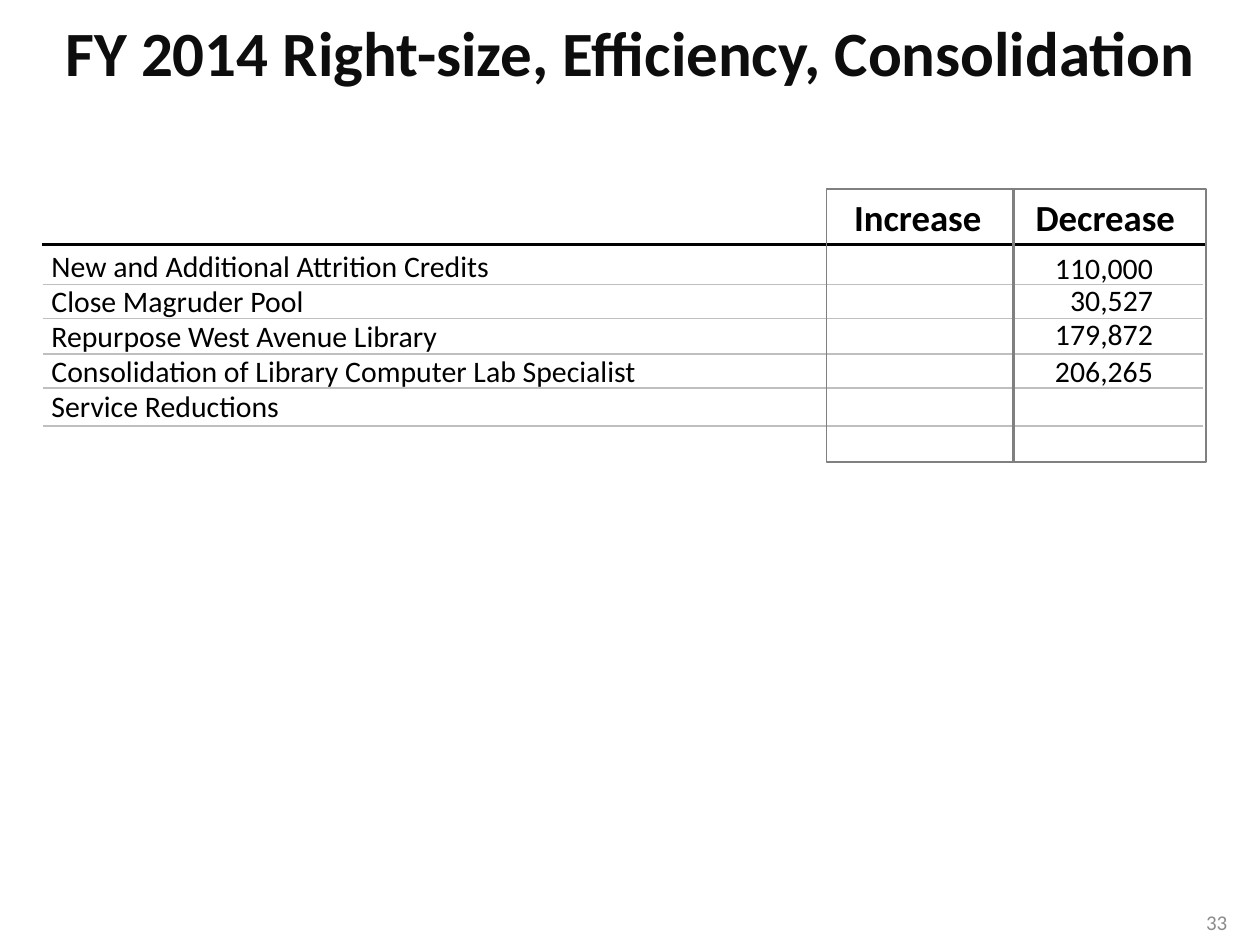
from dataclasses import dataclass

from lxml import etree
from pptx import Presentation
from pptx.dml.color import RGBColor
from pptx.enum.shapes import MSO_CONNECTOR, MSO_SHAPE
from pptx.enum.text import MSO_ANCHOR, PP_ALIGN
from pptx.oxml.ns import qn
from pptx.slide import Slide
from pptx.util import Inches, Pt

LEFT, RIGHT = PP_ALIGN.LEFT, PP_ALIGN.RIGHT
TOP, MIDDLE = MSO_ANCHOR.TOP, MSO_ANCHOR.MIDDLE
STRAIGHT, RECTANGLE = MSO_CONNECTOR.STRAIGHT, MSO_SHAPE.RECTANGLE


@dataclass(frozen=True)
class Theme:
    font: str = "Calibri"
    title_color: str = "0D0D0D"
    text_color: str = "000000"
    number_color: str = "8C8C8C"
    row_rule_color: str = "BFBFBF"
    frame_color: str = "808080"
    title_size: float = 36
    header_size: float = 21
    body_size: float = 17
    number_size: float = 12
    body_spacing: float = 20


@dataclass(frozen=True)
class Box:
    left: float
    top: float
    width: float
    height: float

    def lengths(self) -> tuple:
        return tuple(Inches(n) for n in (self.left, self.top, self.width, self.height))


@dataclass(frozen=True)
class Column:
    header: str
    header_box: Box
    frame: Box


@dataclass(frozen=True)
class Amount:
    text: str
    top: float


@dataclass(frozen=True)
class Rule:
    start: float
    end: float
    y: float
    color: str
    weight: float


THEME = Theme()
ITEMS = [
    "New and Additional Attrition Credits",
    "Close Magruder Pool",
    "Repurpose West Avenue Library",
    "Consolidation of Library Computer Lab Specialist",
    "Service Reductions",
]
AMOUNTS = [
    Amount("110,000", 1.93),
    Amount("30,527", 2.19),
    Amount("179,872", 2.46),
    Amount("206,265", 2.75),
]
COLUMNS = [
    Column("Increase", Box(6.68, 1.5, 1.22, 0.45), Box(6.56, 1.5, 1.49, 2.17)),
    Column("Decrease", Box(8.12, 1.5, 1.32, 0.45), Box(8.04, 1.5, 1.53, 2.17)),
]
RULES = [Rule(0.33, 9.58, 1.94, THEME.text_color, 2)] + [
    Rule(0.34, 9.55, y, THEME.row_rule_color, 0.75)
    for y in (2.26, 2.53, 2.81, 3.08, 3.38)
]


def add_text(slide: Slide, text: str, box: Box, *, size: float,
             color: str = THEME.text_color, bold: bool = False,
             align: PP_ALIGN = LEFT, anchor: MSO_ANCHOR = TOP,
             wrap: bool = False, spacing: float | None = None) -> None:
    """Add a text box with one paragraph for each line of text."""
    frame = slide.shapes.add_textbox(*box.lengths()).text_frame
    frame.word_wrap = wrap
    frame.vertical_anchor = anchor
    frame.text = text
    for paragraph in frame.paragraphs:
        paragraph.alignment = align
        if spacing is not None:
            paragraph.line_spacing = Pt(spacing)
        font = paragraph.font
        font.name = THEME.font
        font.size = Pt(size)
        font.bold = bold
        font.color.rgb = RGBColor.from_string(color)


def add_rule(slide: Slide, rule: Rule) -> None:
    y = Inches(rule.y)
    connector = slide.shapes.add_connector(
        STRAIGHT, Inches(rule.start), y, Inches(rule.end), y)
    connector.line.color.rgb = RGBColor.from_string(rule.color)
    connector.line.width = Pt(rule.weight)
    etree.SubElement(connector._element.spPr, qn("a:effectLst"))


def add_frame(slide: Slide, box: Box) -> None:
    shape = slide.shapes.add_shape(RECTANGLE, *box.lengths())
    shape.shadow.inherit = False
    shape.fill.background()
    shape.line.color.rgb = RGBColor.from_string(THEME.frame_color)
    shape.line.width = Pt(1)


def main() -> None:
    presentation = Presentation()
    presentation.slide_width = Inches(10)
    presentation.slide_height = Inches(7.5)
    slide = presentation.slides.add_slide(presentation.slide_layouts[6])

    add_text(slide, "FY 2014 Right-size, Efficiency, Consolidation",
             Box(0.42, 0.06, 9.3, 0.71), size=THEME.title_size,
             color=THEME.title_color, bold=True)
    add_text(slide, "\n".join(ITEMS), Box(0.31, 1.92, 6.64, 1.5),
             size=THEME.body_size, wrap=True, spacing=THEME.body_spacing)
    for column in COLUMNS:
        add_text(slide, column.header, column.header_box,
                 size=THEME.header_size, bold=True)
    for rule in RULES:
        add_rule(slide, rule)
    add_text(slide, "33", Box(7.51, 7.12, 2.33, 0.4), size=THEME.number_size,
             color=THEME.number_color, align=RIGHT, anchor=MIDDLE, wrap=True)
    for amount in AMOUNTS:
        add_text(slide, amount.text, Box(8.26, amount.top, 0.99, 0.39),
                 size=THEME.body_size, align=RIGHT)
    for column in reversed(COLUMNS):
        add_frame(slide, column.frame)

    presentation.save("out.pptx")


if __name__ == "__main__":
    main()
